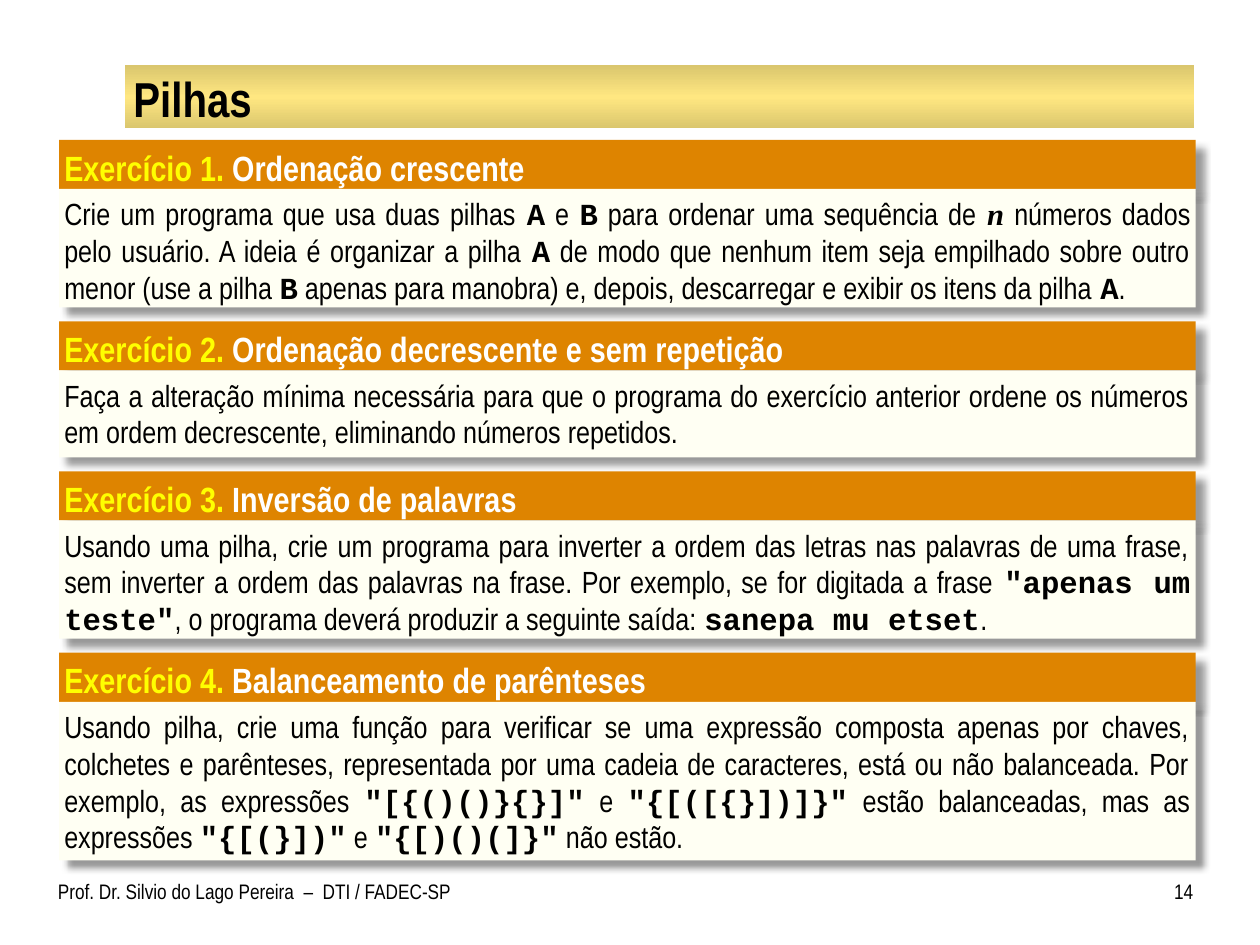
from copy import deepcopy
from dataclasses import dataclass

from lxml.etree import SubElement
from pptx import Presentation
from pptx.dml.color import RGBColor
from pptx.enum.shapes import MSO_SHAPE as Preset
from pptx.enum.text import MSO_ANCHOR as Anchor, PP_ALIGN as Align
from pptx.oxml.ns import qn
from pptx.util import Inches, Pt


@dataclass(frozen=True)
class Theme:
    black: str = "000000"
    white: str = "FFFFFF"
    yellow: str = "FFFF00"
    orange: str = "DE8400"
    cream: str = "FFFFF3"
    gold_edge: str = "DAC66E"
    gold_middle: str = "FFE781"
    sans: str = "Arial Narrow"
    mono: str = "Courier New"
    serif: str = "Times New Roman"
    title_size: float = 28
    heading_size: float = 20
    body_size: float = 17.5
    footer_size: float = 12


@dataclass(frozen=True)
class Strong:
    """Bold words set in their own typeface."""
    text: str
    face: str = Theme.mono
    italic: bool = False


class SlideBuilder:
    """Places elements on a grid of 100 columns by 75 rows."""

    def __init__(self, deck, theme):
        self.theme = theme
        self.column = deck.slide_width / 100
        self.row = deck.slide_height / 75
        self.page = deck.slides.add_slide(deck.slide_layouts[6])

    def place(self, left, top, width, height):
        return (round(left * self.column), round(top * self.row),
                round(width * self.column), round(height * self.row))

    def panel(self, area, color):
        box = self.page.shapes.add_shape(Preset.RECTANGLE, *self.place(*area))
        box.shadow.inherit = False
        box.line.fill.background()
        box.fill.solid()
        box.fill.fore_color.rgb = RGBColor.from_string(color)
        return box

    def add_shadow(self, box):
        effects = box._element.spPr.find(qn("a:effectLst"))
        shadow = SubElement(effects, qn("a:outerShdw"), blurRad=str(Pt(4)),
                            dist=str(Pt(6)), dir=str(45 * 60000),
                            algn="tl", rotWithShape="0")
        color = SubElement(shadow, qn("a:srgbClr"), val=self.theme.black)
        SubElement(color, qn("a:alpha"), val="40000")

    def gold_band(self, area):
        band = self.panel(area, self.theme.gold_edge)
        band.fill.gradient()
        band.fill.gradient_angle = 90
        stops = band.fill.gradient_stops
        for stop, position in zip(stops, (0, 1)):
            stop.color.rgb = RGBColor.from_string(self.theme.gold_edge)
            stop.position = position
        # The bright middle stop goes between the two edges
        first = band._element.spPr.find(".//" + qn("a:gs"))
        first.addnext(deepcopy(first))
        middle = band.fill.gradient_stops[1]
        middle.color.rgb = RGBColor.from_string(self.theme.gold_middle)
        middle.position = 0.5

    def paragraph(self, box, size, color, insets, align=Align.LEFT,
                  anchor=Anchor.TOP, bold=False):
        frame = box.text_frame
        frame.word_wrap = True
        frame.vertical_anchor = anchor
        (frame.margin_left, frame.margin_top,
         frame.margin_right, frame.margin_bottom) = map(Inches, insets)
        para = frame.paragraphs[0]
        para.alignment = align
        para.font.name = self.theme.sans
        para.font.size = Pt(size)
        para.font.bold = bold
        para.font.color.rgb = RGBColor.from_string(color)
        return para

    def label(self, area, text, size, insets, **style):
        box = self.page.shapes.add_textbox(*self.place(*area))
        para = self.paragraph(box, size, self.theme.black, insets, **style)
        para.add_run().text = text

    def heading(self, area, number, title):
        box = self.panel(area, self.theme.orange)
        self.add_shadow(box)
        para = self.paragraph(box, self.theme.heading_size, self.theme.white,
                              (0.04, 0.05, 0.1, 0.05), bold=True)
        span = para.add_run()
        span.text = f"Exercício {number}."
        span.font.color.rgb = RGBColor.from_string(self.theme.yellow)
        para.add_run().text = f" {title}"

    def body(self, area, parts):
        box = self.panel(area, self.theme.cream)
        self.add_shadow(box)
        para = self.paragraph(box, self.theme.body_size, self.theme.black,
                              (0.04, 0.05, 0.04, 0.05), align=Align.JUSTIFY)
        para.space_before = Pt(6)
        for part in parts:
            span = para.add_run()
            if isinstance(part, Strong):
                span.text = part.text
                span.font.name = part.face
                span.font.bold = True
                span.font.italic = part.italic
            else:
                span.text = part


# Title, body height in rows, body text
EXERCISES = [
    ("Ordenação crescente", 9.4, [
        "Crie um programa que usa duas pilhas ", Strong("A"), " e ", Strong("B"),
        " para ordenar uma sequência de ", Strong("n", Theme.serif, True),
        " números dados pelo usuário. A ideia é organizar a pilha ", Strong("A"),
        " de modo que nenhum item seja empilhado sobre outro menor (use a pilha ",
        Strong("B"), " apenas para manobra) e, depois, descarregar e exibir os "
        "itens da pilha ", Strong("A"), "."]),
    ("Ordenação decrescente e sem repetição", 6.9, [
        "Faça a alteração mínima necessária para que o programa do exercício "
        "anterior ordene os números em ordem decrescente, eliminando números "
        "repetidos."]),
    ("Inversão de palavras", 9.4, [
        "Usando uma pilha, crie um programa para inverter a ordem das letras nas "
        "palavras de uma frase, sem inverter a ordem das palavras na frase. Por "
        "exemplo, se for digitada a frase ", Strong('"apenas um teste"'),
        ", o programa deverá produzir a seguinte saída: ",
        Strong("sanepa mu etset"), "."]),
    ("Balanceamento de parênteses", 12.6, [
        "Usando pilha, crie uma função para verificar se uma expressão composta "
        "apenas por chaves, colchetes e parênteses, representada por uma cadeia "
        "de caracteres, está ou não balanceada. Por exemplo, as expressões ",
        Strong('"[{()()}{}]"'), " e ", Strong('"{[([{}])]}"'),
        " estão balanceadas, mas as expressões ", Strong('"{[(}])"'), " e ",
        Strong('"{[)()(]}"'), " não estão."]),
]
LEFT, WIDTH = 4.7, 90.2
FIRST_TOP, HEADING_HEIGHT, GAP = 11.1, 3.9, 1.1


def main():
    deck = Presentation()
    deck.slide_width, deck.slide_height = Inches(10), Inches(7.5)
    theme = Theme()
    slide = SlideBuilder(deck, theme)

    # Title band
    slide.gold_band((9.9, 5.2, 84.9, 5))
    slide.label((10, 5.4, 84.7, 4.7), "Pilhas", theme.title_size,
                (0.06, 0.01, 0.06, 0.01), anchor=Anchor.MIDDLE, bold=True)

    # Exercises, stacked with equal gaps
    top = FIRST_TOP
    for number, (title, height, parts) in enumerate(EXERCISES, start=1):
        slide.heading((LEFT, top, WIDTH, HEADING_HEIGHT), number, title)
        top += HEADING_HEIGHT
        slide.body((LEFT, top, WIDTH, height), parts)
        top += height + GAP

    # Footer
    slide.label((4.6, 69.2, 34, 4.2),
                "Prof. Dr. Silvio do Lago Pereira  –  DTI / FADEC-SP",
                theme.footer_size, (0, 0.05, 0.1, 0.05))
    slide.label((90.8, 69.2, 3.9, 4.2), "14", theme.footer_size,
                (0.1, 0.05, 0, 0.05), align=Align.RIGHT)

    deck.save("out.pptx")


if __name__ == "__main__":
    main()
